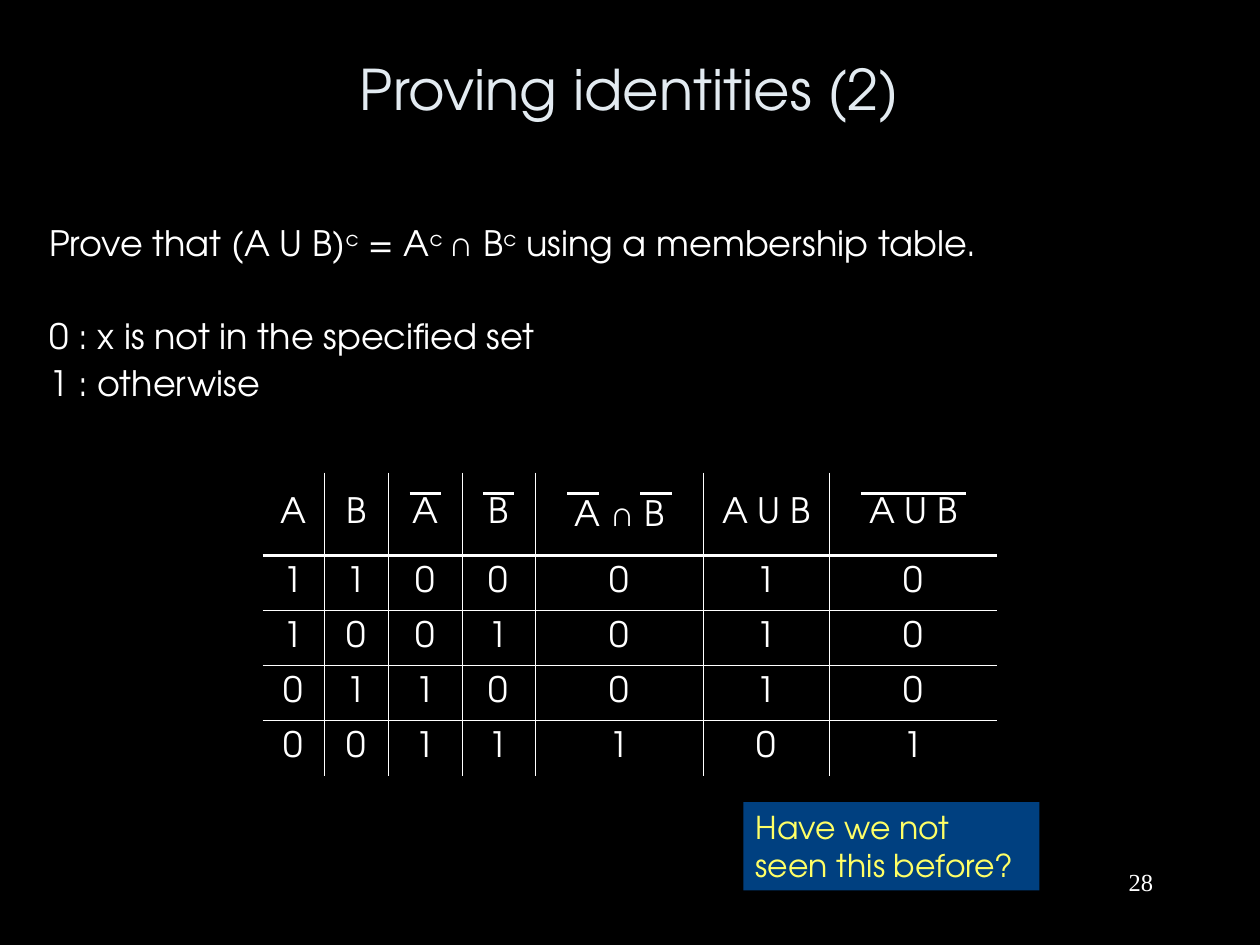
from lxml import etree
from pptx import Presentation, util as u
from pptx.dml.color import RGBColor
from pptx.enum import shapes, text
from pptx.oxml.ns import qn

COLORS = {"background": "000000", "title": "E3EBF1", "white": "FFFFFF",
          "callout": "004080", "callout_text": "FFFF66"}
SANS, MATH, SERIF = "TeX Gyre Adventor", "Arial", "Times New Roman"

presentation = Presentation()
presentation.slide_width, presentation.slide_height = u.Inches(10), u.Inches(7.5)
COLUMN = presentation.slide_width / 120
ROW = presentation.slide_height / 90


def grid(left, top, width, height):
    """Turn grid columns and rows into slide lengths."""
    return [round(n * size) for n, size in zip((left, top, width, height), (COLUMN, ROW) * 2)]


def write(paragraph, runs, size, color="white", font=SANS, **formats):
    """Add runs: '^' starts a raised one, '∩' is set in the math font."""
    for name, value in formats.items():
        setattr(paragraph, name, value)
    for words in runs:
        run = paragraph.add_run()
        run.text = words.lstrip("^")
        run.font.name = MATH if words == "∩" else font
        run.font.size = u.Pt(size)
        run.font.color.rgb = RGBColor.from_string(COLORS[color])
        if words.startswith("^"):
            run.font._element.set("baseline", "30000")


slide = presentation.slides.add_slide(presentation.slide_layouts[5])
slide.background.fill.solid()
slide.background.fill.fore_color.rgb = RGBColor.from_string(COLORS["background"])

# Title
title = slide.shapes.title
title.left, title.top, title.width, title.height = grid(9, 2.6, 102, 11.6)
title.text_frame.vertical_anchor = text.MSO_ANCHOR.MIDDLE
write(title.text_frame.paragraphs[0], ["Proving identities (2)"], 32, "title",
      alignment=text.PP_ALIGN.CENTER)

# Statement and legend
statement = slide.shapes.add_textbox(*grid(3.5, 21, 96.6, 22.3)).text_frame
statement.word_wrap = True
lines = [
    (["Prove that (A U B)", "^c", " = A", "^c ", "∩", " B", "^c",
      " using a membership table."], 0),
    (["0 : x is not in the specified set"], 31.5),
    (["1 : otherwise"], 5),
]
for index, (runs, gap) in enumerate(lines):
    paragraph = statement.add_paragraph() if index else statement.paragraphs[0]
    write(paragraph, runs, 20, line_spacing=0.9, space_before=u.Pt(gap))

# Membership table
HEADER = [["A"], ["B"], ["A"], ["B"], ["A ", "∩", " B"], ["A U B"], ["A U B"]]
MEMBERSHIP = ["1100010", "1001010", "0110010", "0011101"]
rows = [HEADER] + MEMBERSHIP
widths = [5.9, 6.1, 7, 7, 16, 12, 16]
heights = [7.9] + [5.25] * len(MEMBERSHIP)
table = slide.shapes.add_table(len(rows), len(widths),
                               *grid(25, 45, sum(widths), sum(heights))).table
table.first_row = table.horz_banding = False
for column, width in zip(table.columns, widths):
    column.width = round(width * COLUMN)
for row, height in zip(table.rows, heights):
    row.height = round(height * ROW)

THIN, THICK = 0.45, 1.47
last_row, last_column = len(rows) - 1, len(widths) - 1
for r, values in enumerate(rows):
    for c, value in enumerate(values):
        cell = table.cell(r, c)
        cell.vertical_anchor = text.MSO_ANCHOR.MIDDLE
        write(cell.text_frame.paragraphs[0], value, 20, alignment=text.PP_ALIGN.CENTER)
        borders = {
            "a:lnL": THIN if c > 0 else 0,
            "a:lnR": THIN if c < last_column else 0,
            "a:lnT": (0, THICK)[r] if r < 2 else THIN,
            "a:lnB": THICK if r == 0 else THIN if r < last_row else 0,
        }
        properties = cell._tc.get_or_add_tcPr()
        for tag, points in borders.items():
            border = etree.SubElement(properties, qn(tag), w=str(u.Pt(points)))
            fill = etree.SubElement(border, qn("a:solidFill" if points else "a:noFill"))
            if points:
                etree.SubElement(fill, qn("a:srgbClr"), val=COLORS["white"])
        cell.fill.background()

# Complement bars over the header
for start, length in [(39, 3), (46, 3), (54, 3), (61, 3), (82, 10)]:
    left, top, width, _ = grid(start, 47, length, 0)
    bar = slide.shapes.add_connector(shapes.MSO_CONNECTOR.STRAIGHT,
                                     left, top, left + width, top)
    bar.line.width = u.Pt(2.25)
    bar.line.color.rgb = RGBColor.from_string(COLORS["white"])
    etree.SubElement(bar._element.spPr, qn("a:effectLst"))

# Callout
callout = slide.shapes.add_shape(shapes.MSO_SHAPE.RECTANGLE, *grid(70.8, 76.4, 28.2, 8.4))
callout.shadow.inherit = False
callout.fill.solid()
callout.fill.fore_color.rgb = RGBColor.from_string(COLORS["callout"])
callout.line.fill.background()
callout.text_frame.word_wrap = True
callout.text_frame.auto_size = text.MSO_AUTO_SIZE.SHAPE_TO_FIT_TEXT
callout.text_frame.vertical_anchor = text.MSO_ANCHOR.TOP
write(callout.text_frame.paragraphs[0], ["Have we not seen this before?"], 18,
      "callout_text", alignment=text.PP_ALIGN.LEFT)

# Slide number
number = slide.shapes.add_textbox(*grid(86, 82, 25, 6)).text_frame
number.word_wrap = True
write(number.paragraphs[0], ["28"], 14, font=SERIF, alignment=text.PP_ALIGN.RIGHT)

presentation.save("out.pptx")
